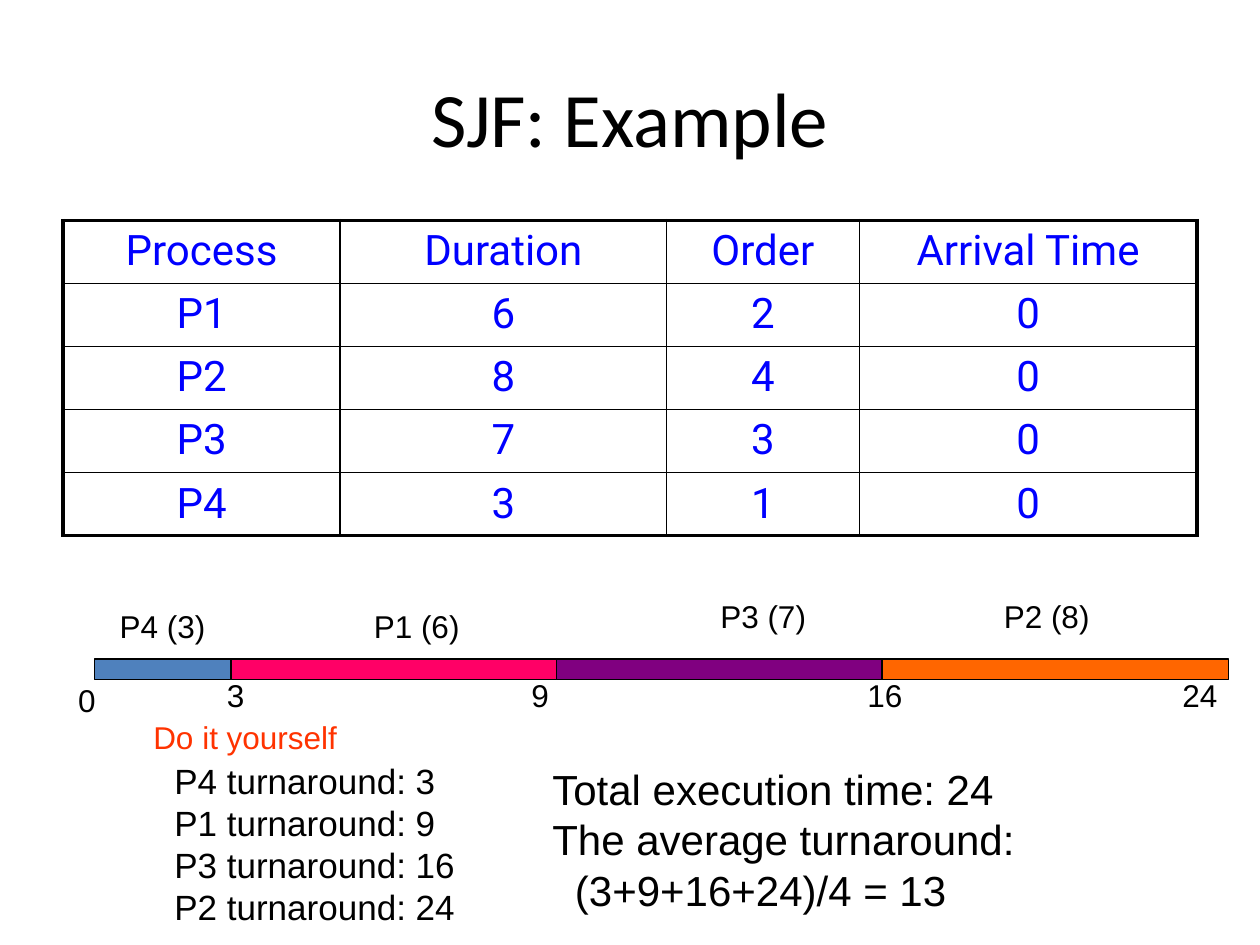
import pptx
import pptx.util
import pptx.dml.color
import pptx.enum.dml
import pptx.enum.shapes
import pptx.enum.text
import pptx.oxml.ns
from lxml import etree

TITLE = "SJF: Example"
ROWS = [
    ("Process", "Duration", "Order", "Arrival Time"),
    ("P1", "6", "2", "0"),
    ("P2", "8", "4", "0"),
    ("P3", "7", "3", "0"),
    ("P4", "3", "1", "0"),
]
COL_WIDTHS = (26.4, 31.08, 18.36, 32.16)
ROW_HEIGHT = 5
BARS = [
    ("P4 (3)", 9, 14, "4F81BD", 10.8, 57.25),
    ("P1 (6)", 22, 31, "FF0066", 35, 57.25),
    ("P3 (7)", 53, 31, "800080", 68, 56.25),
    ("P2 (8)", 84, 33, "FF6600", 95, 56.25),
]
BAR_TOP, BAR_HEIGHT = 62.75, 2
TICKS = [("0", 6.84, 64.25), ("3", 21, 63.75), ("9", 50, 63.75),
         ("16", 82, 63.75), ("24", 112, 63.75)]
TURNAROUNDS = [("P4", 3), ("P1", 9), ("P3", 16), ("P2", 24)]
SUMMARY = ["Total execution time: 24", "The average turnaround:",
           "(3+9+16+24)/4 = 13"]
HINT = "Do it yourself"

THEME = {
    "title_font": "Calibri", "table_font": "Roboto", "font": "Arial",
    "title": 44, "table": 24, "summary": 24, "list": 20, "label": 18,
    "ink": "000000", "table_ink": "0000FF", "hint": "FF3300",
    "outer": 2.25, "inner": 1, "bar_line": 0.75,
}

prs = pptx.Presentation()
prs.slide_width = pptx.util.Inches(10)
prs.slide_height = pptx.util.Inches(7.5)
s = prs.slides.add_slide(prs.slide_layouts[6])
UNIT = prs.slide_width / 120


def grid(*cells):
    return [round(c * UNIT) for c in cells]


def rgb(value):
    return pptx.dml.color.RGBColor.from_string(value)


def add_run(p, text, size, color=THEME["ink"], font=THEME["font"]):
    r = p.add_run()
    r.text = text
    r.font.size = pptx.util.Pt(size)
    r.font.name = font
    r.font.color.rgb = rgb(color)


def set_margins(target):
    for side in ("left", "top", "right", "bottom"):
        setattr(target, "margin_" + side, pptx.util.Inches(0.05))


def add_text(lines, box, size, wrap=False, **style):
    tf = s.shapes.add_textbox(*grid(*box)).text_frame
    set_margins(tf)
    tf.word_wrap = wrap
    if not wrap:
        tf.auto_size = pptx.enum.text.MSO_AUTO_SIZE.SHAPE_TO_FIT_TEXT
    for i, line in enumerate(lines):
        p = tf.paragraphs[0] if i == 0 else tf.add_paragraph()
        add_run(p, line, size, **style)
    return tf


def set_borders(cell, widths):
    tc_pr = cell._tc.get_or_add_tcPr()
    for i, (side, width) in enumerate(zip("LRTB", widths)):
        ln = etree.Element(pptx.oxml.ns.qn("a:ln" + side),
                           w=str(pptx.util.Pt(width)))
        fill = etree.SubElement(ln, pptx.oxml.ns.qn("a:solidFill"))
        etree.SubElement(fill, pptx.oxml.ns.qn("a:srgbClr"), val=THEME["ink"])
        tc_pr.insert(i, ln)


def add_process_table():
    last_row, last_col = len(ROWS) - 1, len(COL_WIDTHS) - 1
    frame = s.shapes.add_table(len(ROWS), len(COL_WIDTHS), *grid(
        6, 21, sum(COL_WIDTHS), ROW_HEIGHT * len(ROWS)))
    table = frame.table
    table.first_row = table.horz_banding = False
    for column, width in zip(table.columns, COL_WIDTHS):
        column.width = grid(width)[0]
    for i, row in enumerate(ROWS):
        for j, text in enumerate(row):
            cell = table.cell(i, j)
            cell.fill.background()
            set_margins(cell)
            p = cell.text_frame.paragraphs[0]
            p.alignment = pptx.enum.text.PP_ALIGN.CENTER
            add_run(p, text, THEME["table"], THEME["table_ink"],
                    THEME["table_font"])
            edges = (j == 0, j == last_col, i == 0, i == last_row)
            set_borders(cell, [THEME["outer" if e else "inner"] for e in edges])


def add_bar(left, width, color):
    sp = s.shapes.add_shape(pptx.enum.shapes.MSO_SHAPE.RECTANGLE,
                            *grid(left, BAR_TOP, width, BAR_HEIGHT))
    sp.shadow.inherit = False
    sp.fill.solid()
    sp.fill.fore_color.rgb = rgb(color)
    sp.line.color.rgb = rgb(THEME["ink"])
    sp.line.width = pptx.util.Pt(THEME["bar_line"])
    return sp


def add_timeline():
    middle = BAR_TOP + BAR_HEIGHT / 2
    axis = s.shapes.add_connector(pptx.enum.shapes.MSO_CONNECTOR.STRAIGHT,
                                  *grid(9, middle, 117, middle))
    axis.line.color.rgb = rgb(THEME["ink"])
    axis.line.width = pptx.util.Pt(THEME["bar_line"])
    axis.line.dash_style = pptx.enum.dml.MSO_LINE.DASH
    etree.SubElement(axis._element.spPr, pptx.oxml.ns.qn("a:effectLst"))
    bars = []
    for label, left, width, color, label_left, label_top in BARS:
        bars.append(add_bar(left, width, color))
        add_text([label], (label_left, label_top, 9.5, 4.5), THEME["label"])
    axis.begin_connect(bars[0], 1)
    axis.end_connect(bars[-1], 3)
    for text, left, top in TICKS:
        add_text([text], (left, top, 1.3 + 1.7 * len(text), 4.5),
                 THEME["label"])


tf = add_text([TITLE], (6, 3.6, 108, 15), THEME["title"], wrap=True,
              font=THEME["title_font"])
tf.vertical_anchor = pptx.enum.text.MSO_ANCHOR.MIDDLE
tf.paragraphs[0].alignment = pptx.enum.text.PP_ALIGN.CENTER
add_process_table()
add_timeline()
add_text([f"{name} turnaround: {time}" for name, time in TURNAROUNDS],
         (16, 71.75, 29.4, 16.4), THEME["list"])
tf = add_text(SUMMARY, (52, 72.1, 46.5, 15.1), THEME["summary"])
tf.paragraphs[-1]._p.get_or_add_pPr().set("marL", str(pptx.util.Inches(0.18)))
add_text([HINT], (14, 67.8, 20, 4.5), THEME["label"], wrap=True,
         color=THEME["hint"])

prs.save("out.pptx")
